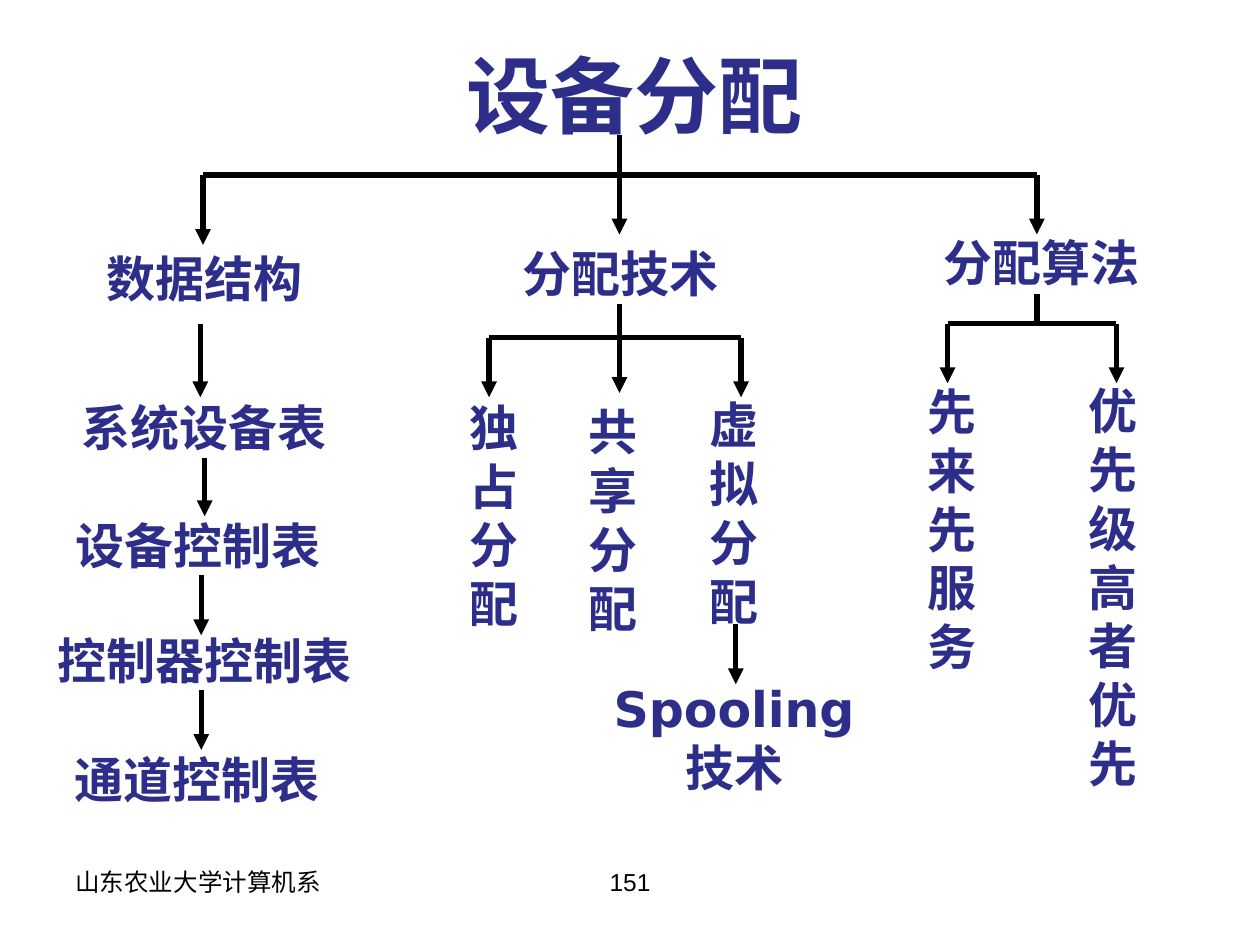
import dataclasses

import pptx
import pptx.dml.color
import pptx.enum.shapes
import pptx.enum.text
import pptx.oxml.ns
import pptx.util
from lxml import etree

Pt = pptx.util.Pt
PP_ALIGN = pptx.enum.text.PP_ALIGN
MSO_AUTO_SIZE = pptx.enum.text.MSO_AUTO_SIZE
qn = pptx.oxml.ns.qn

NAVY = "2D2D8A"
BLACK = "000000"
LINE_HEIGHT = 33.5
NODE_FORMAT = {"name": "DejaVu Sans", "size": Pt(28), "bold": True}
TITLE_FORMAT = {**NODE_FORMAT, "size": Pt(48)}
FOOTER_FORMAT = {"name": "Arial", "size": Pt(14), "bold": False}
NODE_INSETS = (10, 5)
FOOTER_INSETS = (7.2, 3.6)


@dataclasses.dataclass
class Node:
    text: str
    left: float
    top: float
    width: float
    lines: int = 1


@dataclasses.dataclass
class Branch:
    """A bus with a drop to each (x, tip) and a stem coming from above."""
    stem_x: float
    stem_top: float
    bus_y: float
    drops: list[tuple[float, float]]


@dataclasses.dataclass
class Arrow:
    x: float
    top: float
    bottom: float


NODES = [
    Node("数据结构", 37.5, 137, 158.5),
    Node("分配技术", 281, 134, 147.5),
    Node("分配算法", 518.5, 128, 153.5),
    Node("系统设备表", 18.5, 222, 196),
    Node("设备控制表", 26.5, 289.5, 173),
    Node("控制器控制表", 16, 355, 201.5),
    Node("通道控制表", 12, 423.5, 201.5),
    Node("独占分配", 258.5, 222, 45.5, 4),
    Node("共享分配", 326, 224.5, 39.5, 4),
    Node("虚拟分配", 394, 220.5, 51, 4),
    Node("先来先服务", 520, 213, 45.5, 5),
    Node("优先级高者优先", 612, 212.5, 45.5, 7),
    Node("Spooling技术", 337.5, 383, 164, 2),
]
BRANCHES = [
    Branch(354, 77, 100, [(116, 140), (354, 134), (592.5, 134)]),
    Branch(354, 173.5, 193, [(279.5, 227), (354, 224.5), (423.5, 227)]),
    Branch(592.5, 168, 185, [(541.5, 219), (638, 219)]),
]
ARROWS = [
    Arrow(114.5, 185, 227),
    Arrow(117, 261.5, 295),
    Arrow(115, 328.5, 363),
    Arrow(115, 394.5, 428.5),
    Arrow(420.5, 356.5, 391),
]


def rgb(color: str) -> pptx.dml.color.RGBColor:
    return pptx.dml.color.RGBColor.from_string(color)


def place(sp, left: float, top: float, width: float, height: float) -> None:
    sp.left, sp.top, sp.width, sp.height = map(Pt, (left, top, width, height))


def write(sp, text: str, font_format: dict, color: str, align: PP_ALIGN,
          insets: tuple[float, float], auto_size: MSO_AUTO_SIZE) -> None:
    tf = sp.text_frame
    dx, dy = map(Pt, insets)
    frame_format = {
        "word_wrap": True,
        "auto_size": auto_size,
        "vertical_anchor": pptx.enum.text.MSO_ANCHOR.TOP,
        "margin_left": dx, "margin_right": dx,
        "margin_top": dy, "margin_bottom": dy,
    }
    for name, value in frame_format.items():
        setattr(tf, name, value)
    p = tf.paragraphs[0]
    p.alignment = align
    r = p.add_run()
    r.text = text
    for name, value in font_format.items():
        setattr(r.font, name, value)
    r.font.color.rgb = rgb(color)


def draw_node(s, node: Node) -> None:
    sp = s.shapes.add_textbox(0, 0, 0, 0)
    place(sp, node.left, node.top, node.width, node.lines * LINE_HEIGHT + 10)
    write(sp, node.text, NODE_FORMAT, NAVY, PP_ALIGN.CENTER, NODE_INSETS,
          MSO_AUTO_SIZE.SHAPE_TO_FIT_TEXT)


def draw_footer(s, text: str, left: float, width: float, align: PP_ALIGN) -> None:
    sp = s.shapes.add_textbox(0, 0, 0, 0)
    place(sp, left, 492, width, 37.5)
    write(sp, text, FOOTER_FORMAT, BLACK, align, FOOTER_INSETS, MSO_AUTO_SIZE.NONE)


def draw_line(s, x1: float, y1: float, x2: float, y2: float, arrow: bool = False) -> None:
    sp = s.shapes.add_connector(pptx.enum.shapes.MSO_CONNECTOR.STRAIGHT,
                                *map(Pt, (x1, y1, x2, y2)))
    sp.line.width = Pt(3)
    sp.line.color.rgb = rgb(BLACK)
    if arrow:
        ln = sp.line._get_or_add_ln()
        etree.SubElement(ln, qn("a:tailEnd"), type="triangle")
    etree.SubElement(sp._element.spPr, qn("a:effectLst"))


def draw_arrow(s, arrow: Arrow) -> None:
    draw_line(s, arrow.x, arrow.top, arrow.x, arrow.bottom, arrow=True)


def draw_branch(s, branch: Branch) -> None:
    draw_line(s, branch.stem_x, branch.stem_top, branch.stem_x, branch.bus_y)
    draw_line(s, branch.drops[0][0], branch.bus_y, branch.drops[-1][0], branch.bus_y)
    for x, tip in branch.drops:
        draw_arrow(s, Arrow(x, branch.bus_y, tip))


def main() -> None:
    prs = pptx.Presentation()
    prs.slide_width, prs.slide_height = Pt(720), Pt(540)
    s = prs.slides.add_slide(prs.slide_layouts.get_by_name("Title Only"))

    title = s.shapes.title
    place(title, 121.5, 20, 482, 68)
    write(title, "设备分配", TITLE_FORMAT, NAVY, PP_ALIGN.CENTER, NODE_INSETS,
          MSO_AUTO_SIZE.SHAPE_TO_FIT_TEXT)

    for branch in BRANCHES:
        draw_branch(s, branch)
    for arrow in ARROWS:
        draw_arrow(s, arrow)
    for node in NODES:
        draw_node(s, node)

    draw_footer(s, "山东农业大学计算机系", 36, 168, PP_ALIGN.LEFT)
    draw_footer(s, "151", 246, 228, PP_ALIGN.CENTER)
    prs.save("out.pptx")


if __name__ == "__main__":
    main()
